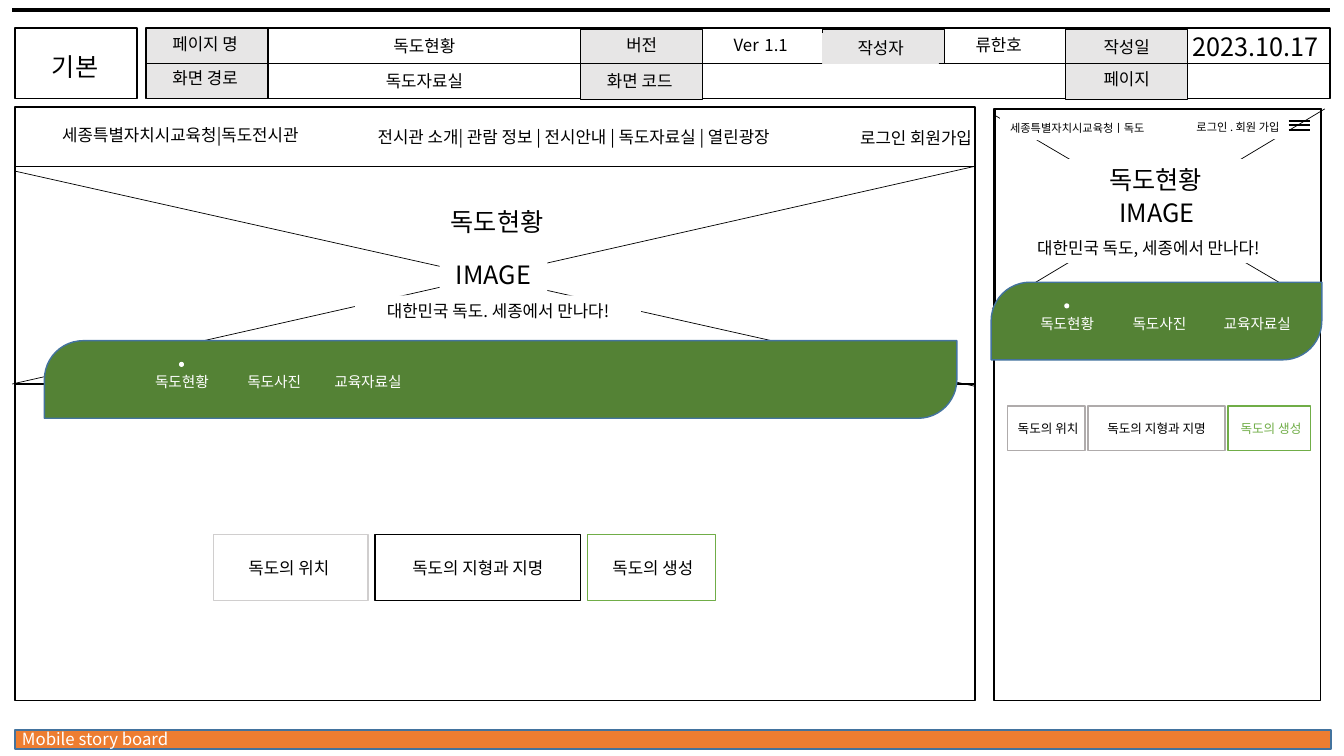
from dataclasses import dataclass

from lxml import etree
from pptx import Presentation
from pptx.dml.color import RGBColor
from pptx.enum.shapes import MSO_CONNECTOR, MSO_SHAPE
from pptx.enum.text import MSO_ANCHOR, MSO_AUTO_SIZE, PP_ALIGN
from pptx.oxml.ns import qn
from pptx.util import Inches, Pt

RECT = MSO_SHAPE.RECTANGLE
LEAF = MSO_SHAPE.ROUND_2_DIAG_RECTANGLE
OVAL = MSO_SHAPE.OVAL
STRAIGHT = MSO_CONNECTOR.STRAIGHT
LEFT, CENTER, RIGHT = PP_ALIGN.LEFT, PP_ALIGN.CENTER, PP_ALIGN.RIGHT
TOP = MSO_ANCHOR.TOP
NO_FIT = MSO_AUTO_SIZE.NONE
TITLE_ONLY = 5


@dataclass(frozen=True)
class Theme:
    """Font, colours and type sizes of the storyboard."""
    font: str = "Noto Sans CJK KR"
    black: str = "000000"
    white: str = "FFFFFF"
    cell: str = "E7E6E6"
    orange: str = "ED7D31"
    edge: str = "43739E"
    green: str = "548235"
    active: str = "70AD47"
    pale: str = "D0CECE"
    gray: str = "AFABAB"
    heading: float = 18
    body: float = 12
    menu: float = 10.5
    tab: float = 9
    small: float = 8


THEME = Theme()


def inches(lengths):
    """Convert plain numbers to slide lengths."""
    return [Inches(length) for length in lengths]


def paint(shape, fill):
    """Give a shape a solid fill, or none."""
    if fill:
        shape.fill.solid()
        shape.fill.fore_color.rgb = RGBColor.from_string(fill)
    else:
        shape.fill.background()


def add_box(slide, at, fill=None, line=None, width=1, kind=RECT):
    """Add a preset shape without a shadow."""
    box = slide.shapes.add_shape(kind, *inches(at))
    box.shadow.inherit = False
    paint(box, fill)
    if line:
        box.line.color.rgb = RGBColor.from_string(line)
        box.line.width = Pt(width)
    else:
        box.line.fill.background()
    return box


def add_line(slide, start, end, width):
    """Add a black straight line."""
    line = slide.shapes.add_connector(STRAIGHT, *inches(start + end))
    line.line.color.rgb = RGBColor.from_string(THEME.black)
    line.line.width = Pt(width)
    etree.SubElement(line.element.spPr, qn("a:effectLst"))


def write(frame, text, size, color, align):
    """Write one styled paragraph into a text frame."""
    frame.word_wrap = True
    frame.auto_size = NO_FIT
    frame.vertical_anchor = TOP
    para = frame.paragraphs[0]
    para.alignment = align
    para.add_run().text = text
    para.font.size = Pt(size)
    para.font.color.rgb = RGBColor.from_string(color)
    para.font.name = THEME.font
    defaults = para._p.get_or_add_pPr().find(qn("a:defRPr"))
    etree.SubElement(defaults, qn("a:ea"), typeface=THEME.font)
    return para


def add_label(slide, text, at, size=THEME.body, color=THEME.black,
              align=CENTER, fill=None):
    """Add a text box holding one paragraph."""
    label = slide.shapes.add_textbox(*inches(at))
    paint(label, fill)
    return write(label.text_frame, text, size, color, align)


def add_menu_bar(slide, at, items):
    """Add a green menu with a dot above its first item."""
    bar = add_box(slide, at, THEME.green, THEME.edge, kind=LEAF)
    bar.adjustments[0], bar.adjustments[1] = 0.5, 0
    top = at[1]
    for text, left, width in items:
        add_label(slide, text, (left, top + 0.27, width, 0.29),
                  THEME.menu, THEME.white)
    _, left, width = items[0]
    add_box(slide, (left + width / 2 - 0.03, top + 0.21, 0.05, 0.05),
            THEME.white, kind=OVAL)


def add_tabs(slide, tabs, top, height, size):
    """Add outlined tabs: each has a text, box, label span and colours."""
    label_height = 0.3 if size == THEME.body else 0.25
    for text, (left, width), (label_left, label_width), line, color in tabs:
        add_box(slide, (left, top, width, height), line=line)
        add_label(slide, text,
                  (label_left, top + (height - label_height) / 2,
                   label_width, label_height), size, color)


def add_header(slide):
    """Add the document information grid."""
    add_line(slide, (0.12, 0.1), (13.19, 0.1), 3)
    for left, width in ((0.15, 1.21), (1.45, 11.74)):
        add_box(slide, (left, 0.28, width, 0.7), line=THEME.black)
    for left, top, height in ((1.45, 0.28, 0.7), (5.76, 0.29, 0.7),
                              (8.16, 0.29, 0.34), (10.57, 0.29, 0.7)):
        add_box(slide, (left, top, 1.21, height), THEME.cell, THEME.black)
    add_line(slide, (1.45, 0.63), (13.19, 0.63), 0.5)
    add_box(slide, (8.16, 0.33, 1.15, 0.3), line=THEME.cell, width=0.75)
    add_label(slide, "기본", (0.17, 0.46, 1.15, 0.42), THEME.heading)
    for text, left, top, width in (
            ("페이지 명", 1.46, 0.29, 1.15), ("화면 경로", 1.46, 0.62, 1.15),
            ("독도현황", 3.06, 0.31, 2.3), ("독도자료실", 3.06, 0.65, 2.3),
            ("버전", 5.79, 0.3, 1.15), ("화면 코드", 5.77, 0.65, 1.15),
            ("작성자", 8.16, 0.33, 1.15), ("류한호", 8.9, 0.3, 2.01),
            ("작성일", 10.6, 0.32, 1.15), ("페이지", 10.6, 0.63, 1.15)):
        add_label(slide, text, (left, top, width, 0.3))
    add_label(slide, "2023.10.17", (11.45, 0.26, 2.01, 0.4), THEME.heading)
    version = add_label(slide, "Ver", (6.54, 0.21, 2.01, 0.4))
    gap = version.add_run()
    gap.text = " "
    gap.font.size = Pt(THEME.heading)
    version.add_run().text = "1.1"


def add_desktop(slide):
    """Add the wide page layout."""
    add_box(slide, (0.15, 1.06, 9.52, 5.89), line=THEME.black)
    add_box(slide, (0.15, 1.65, 9.52, 2.16), line=THEME.black)
    add_label(slide, "세종특별자치시교육청|독도전시관", (0.26, 1.19, 3.06, 0.3))
    add_label(slide, "전시관 소개| 관람 정보 | 전시안내 | 독도자료실 | 열린광장",
              (3.37, 1.21, 4.64, 0.3))
    add_label(slide, "로그인 회원가입", (5.83, 1.22, 3.91, 0.3), align=RIGHT)
    add_line(slide, (0.12, 3.81), (9.67, 1.65), 0.5)
    add_line(slide, (0.16, 1.7), (9.66, 3.83), 0.5)
    add_label(slide, "IMAGE", (4.36, 2.52, 1.07, 0.4), THEME.heading,
              fill=THEME.white)
    title = slide.shapes.title
    title.left, title.top, title.width, title.height = inches(
        (4.02, 2, 1.82, 0.4))
    write(title.text_frame, "독도현황", THEME.heading, THEME.black, CENTER)
    add_label(slide, "대한민국 독도. 세종에서 만나다!", (3.52, 2.93, 2.84, 0.3),
              fill=THEME.white)
    add_menu_bar(slide, (0.44, 3.38, 9.05, 0.77), (
        ("독도현황", 1.33, 0.95), ("독도사진", 2.13, 1.18),
        ("교육자료실", 3.06, 1.18)))
    add_tabs(slide, (
        ("독도의 위치", (2.12, 1.53), (2.09, 1.55), THEME.pale, THEME.black),
        ("독도의 지형과 지명", (3.72, 2.04), (3.72, 2.04), THEME.black, THEME.black),
        ("독도의 생성", (5.83, 1.27), (5.85, 1.25), THEME.active, THEME.black),
    ), 5.3, 0.66, THEME.body)


def add_mobile(slide):
    """Add the narrow page layout."""
    add_box(slide, (9.87, 1.08, 3.24, 2), THEME.white, THEME.black)
    add_box(slide, (9.86, 1.08, 3.24, 5.87), line=THEME.black)
    add_line(slide, (9.84, 3.06), (13.14, 1.08), 0.5)
    add_line(slide, (13.11, 3.05), (9.86, 1.14), 0.5)
    for text, at, size, align in (
            ("세종특별자치시교육청ㅣ독도", (9.92, 1.15, 1.87, 0.24), THEME.small, LEFT),
            ("로그인 . 회원 가입", (11.58, 1.14, 1.21, 0.24), THEME.small, RIGHT),
            ("IMAGE", (10.94, 1.91, 1.07, 0.4), THEME.heading, CENTER),
            ("대한민국 독도, 세종에서 만나다!", (9.97, 2.31, 2.84, 0.3),
             THEME.body, CENTER),
            ("독도현황", (10.55, 1.58, 1.82, 0.4), THEME.heading, CENTER)):
        add_label(slide, text, at, size, align=align, fill=THEME.white)
    for top in (1.2, 1.24, 1.29):
        add_line(slide, (12.78, top), (12.99, top), 1)
    add_menu_bar(slide, (9.83, 2.8, 3.28, 0.77), (
        ("독도현황", 10.11, 0.95), ("독도사진", 10.91, 1.18),
        ("교육자료실", 11.83, 1.28)))
    add_tabs(slide, (
        ("독도의 위치", (9.99, 0.77), (9.9, 0.99), THEME.gray, THEME.black),
        ("독도의 지형과 지명", (10.79, 1.36), (10.76, 1.42), THEME.gray, THEME.black),
        ("독도의 생성", (12.18, 0.82), (12.11, 0.99), THEME.active, THEME.active),
    ), 4.03, 0.44, THEME.tab)


def add_footer(slide):
    """Add the orange caption strip."""
    add_box(slide, (0.15, 7.24, 13.05, 0.19), THEME.orange, THEME.edge)
    add_label(slide, "Mobile story board", (0.12, 7.18, 3.2, 0.3),
              color=THEME.white, align=LEFT)


def main():
    """Build and save the storyboard."""
    deck = Presentation()
    deck.slide_width, deck.slide_height = inches((13.33, 7.5))
    slide = deck.slides.add_slide(deck.slide_layouts[TITLE_ONLY])
    add_header(slide)
    add_desktop(slide)
    add_mobile(slide)
    add_footer(slide)
    deck.save("out.pptx")


main()
